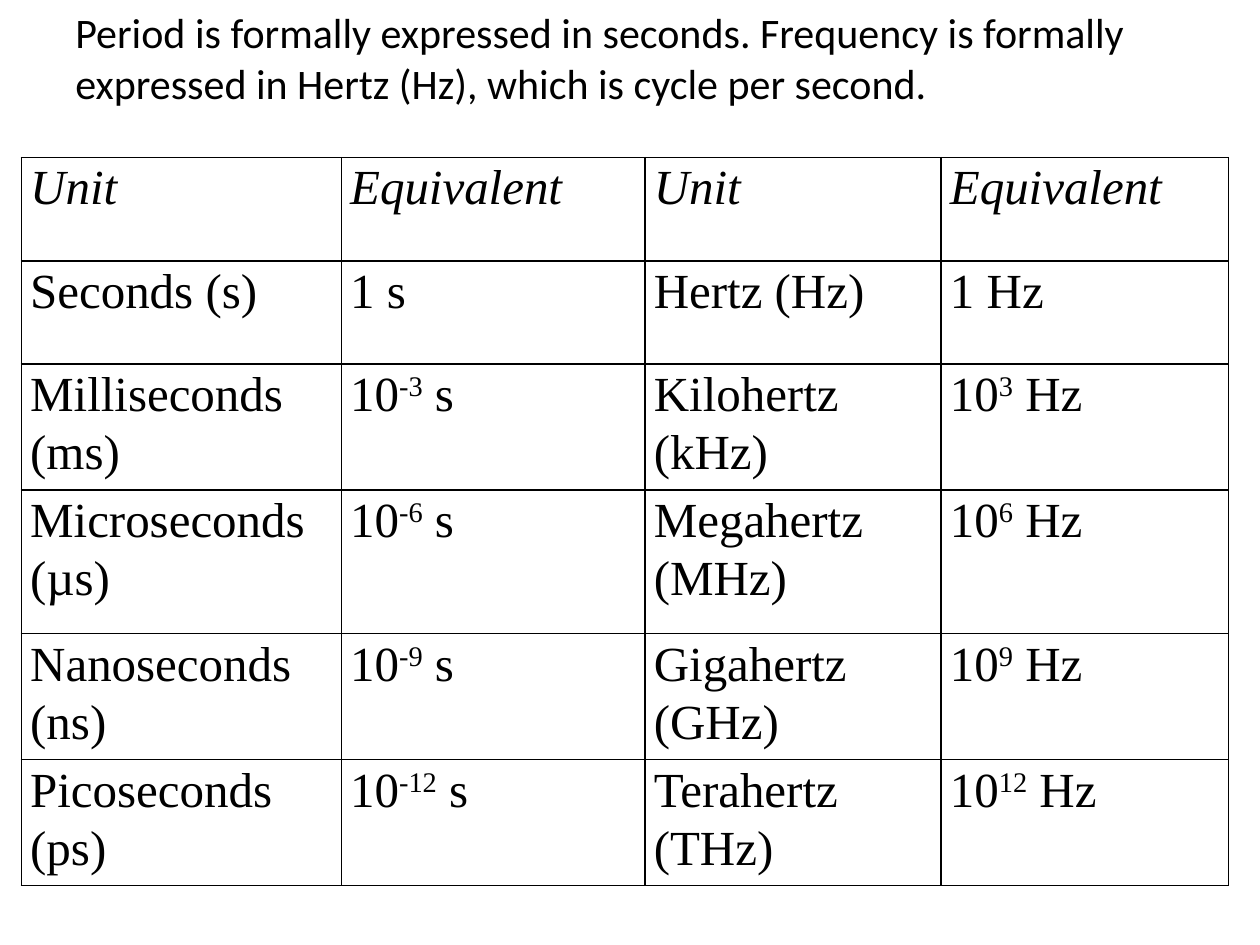
import pptx
import pptx.dml.color
import pptx.enum.text
import pptx.oxml
import pptx.oxml.ns
import pptx.util
from pptx.util import Inches

BLACK = pptx.dml.color.RGBColor(0, 0, 0)

TITLE = ("Period is formally expressed in seconds. Frequency is formally "
         "expressed in Hertz (Hz), which is cycle per second.")
COL_WIDTHS = [2.54, 2.41, 2.35, 2.28]
ROW_HEIGHTS = [0.82, 0.82, 0.82, 1.14, 0.82, 0.84]

# A caret marks an exponent, which runs up to the next space
HEADER = ["Unit", "Equivalent"] * 2
UNITS = [
    ["Seconds (s)", "1 s", "Hertz (Hz)", "1 Hz"],
    ["Milliseconds (ms)", "10^-3 s", "Kilohertz (kHz)", "10^3 Hz"],
    ["Microseconds (µs)", "10^-6 s", "Megahertz (MHz)", "10^6 Hz"],
    ["Nanoseconds (ns)", "10^-9 s", "Gigahertz (GHz)", "10^9 Hz"],
    ["Picoseconds (ps)", "10^-12 s", "Terahertz (THz)", "10^12 Hz"],
]


class SlideBuilder:
    title_font, title_size = "Calibri", 24
    cell_font, cell_size = "Times New Roman", 28
    border_pt = 1

    def __init__(self, prs):
        self.s = prs.slides.add_slide(prs.slide_layouts[6])

    def style(self, r, name, size, italic=False):
        r.font.name = name
        r.font.size = pptx.util.Pt(size)
        r.font.italic = italic
        r.font.color.rgb = BLACK

    def title(self, text, left, top, width, height):
        sp = self.s.shapes.add_textbox(Inches(left), Inches(top),
                                       Inches(width), Inches(height))
        tf = sp.text_frame
        tf.word_wrap = True
        tf.vertical_anchor = pptx.enum.text.MSO_ANCHOR.MIDDLE
        tf.text = text
        self.style(tf.paragraphs[0].runs[0], self.title_font, self.title_size)

    def borders(self, cell):
        tcPr = cell._tc.get_or_add_tcPr()
        for side in ("lnL", "lnR", "lnT", "lnB"):
            tcPr.append(pptx.oxml.parse_xml(
                f'<a:{side} {pptx.oxml.ns.nsdecls("a")} '
                f'w="{pptx.util.Pt(self.border_pt)}"><a:solidFill>'
                f'<a:srgbClr val="{BLACK}"/></a:solidFill></a:{side}>'))

    def cell(self, cell, text, italic):
        cell.margin_left = cell.margin_right = Inches(0.07)
        cell.margin_top = cell.margin_bottom = 0
        self.borders(cell)
        cell.fill.background()
        base, caret, rest = text.partition("^")
        p = cell.text_frame.paragraphs[0]
        p.text = base
        p.line_spacing = 1.07
        if caret:
            exponent, space, unit = rest.partition(" ")
            r = p.add_run()
            r.text = exponent
            r._r.get_or_add_rPr().set("baseline", "30000")
            p.add_run().text = space + unit
        for r in p.runs:
            self.style(r, self.cell_font, self.cell_size, italic)

    def table(self, rows, left, top):
        table = self.s.shapes.add_table(
            len(rows), len(COL_WIDTHS), Inches(left), Inches(top),
            Inches(sum(COL_WIDTHS)), Inches(sum(ROW_HEIGHTS))).table
        table.first_row = table.horz_banding = False
        for column, width in zip(table.columns, COL_WIDTHS):
            column.width = Inches(width)
        for i, (row, height) in enumerate(zip(table.rows, ROW_HEIGHTS)):
            row.height = Inches(height)
            for cell, text in zip(row.cells, rows[i]):
                self.cell(cell, text, italic=i == 0)


def main():
    prs = pptx.Presentation()
    prs.slide_width, prs.slide_height = Inches(10), Inches(7.5)
    slide = SlideBuilder(prs)

    # Statement above the table
    slide.title(TITLE, 0.5, -0.17, 9, 1.25)

    # Units of period and frequency
    slide.table([HEADER] + UNITS, 0.17, 1.25)

    prs.save("out.pptx")


if __name__ == "__main__":
    main()
